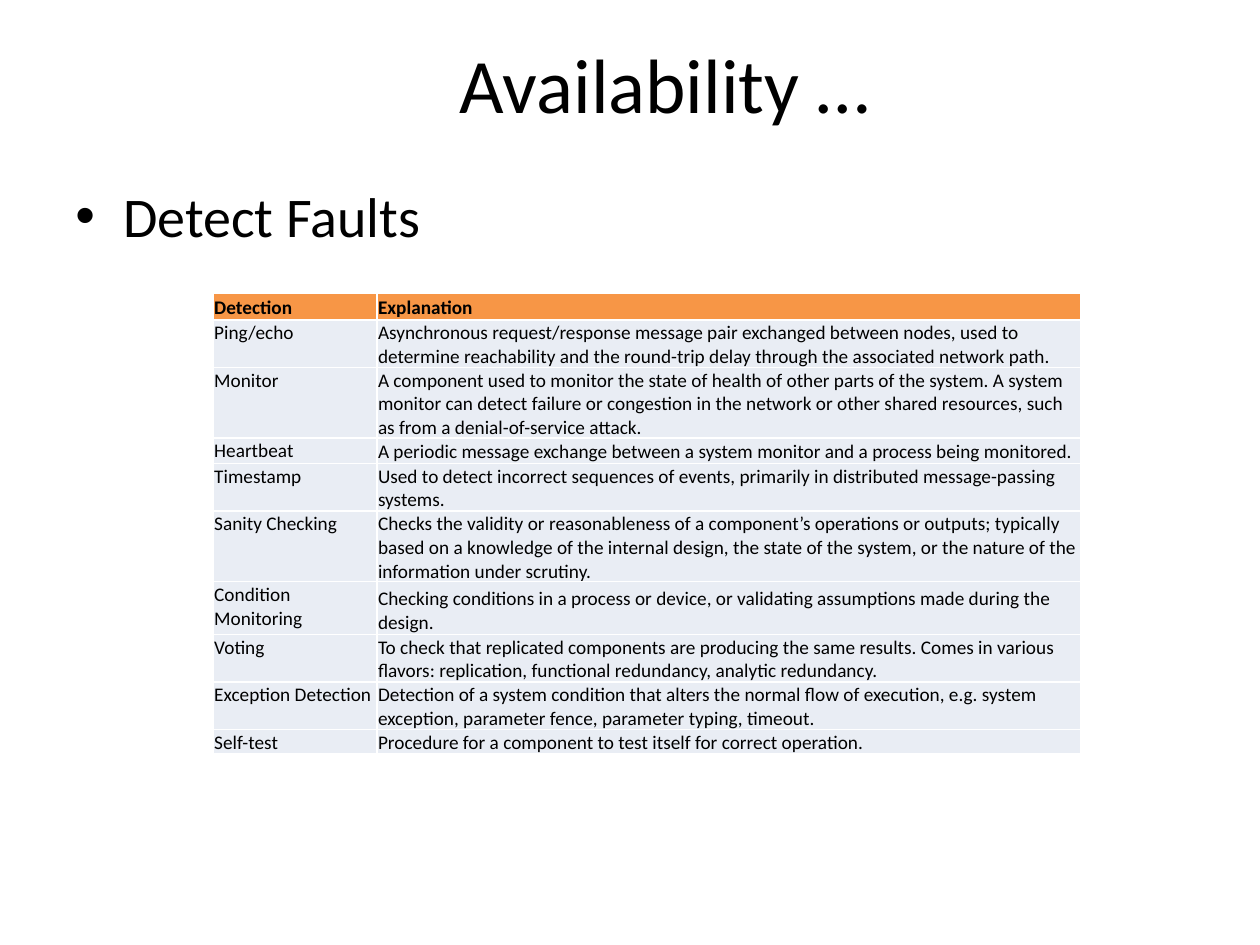
from dataclasses import dataclass
from typing import Any, NamedTuple

from lxml.etree import SubElement
from pptx import Presentation
from pptx.dml.color import RGBColor
from pptx.enum.text import MSO_ANCHOR, PP_ALIGN
from pptx.oxml.ns import qn
from pptx.util import Inches, Pt


@dataclass(frozen=True)
class Theme:
    font: str = "Calibri"
    text: str = "000000"
    header_fill: str = "F79646"
    body_fill: str = "E9EDF4"
    border: str = "FFFFFF"
    title_size: int = 44
    bullet_size: int = 32
    table_size: int = 11
    border_width: int = 1


class Box(NamedTuple):
    left: float
    top: float
    width: float
    height: float

    def lengths(self) -> list[int]:
        return [Inches(value) for value in self]


class Tactic(NamedTuple):
    name: str
    explanation: str
    height: float


THEME = Theme()
TITLE_BOX = Box(1.06, 0.3, 8.44, 0.85)
BODY_BOX = Box(0.5, 1.39, 9, 5.31)
TABLE_BOX = Box(1.69, 2.33, 6.89, 3.16)
COLUMN_WIDTHS = (1.3, 5.59)
CELL_FORMAT = {
    "margin_left": Inches(0.01),
    "margin_top": Inches(0.01),
    "margin_right": Inches(0.01),
    "margin_bottom": Inches(0),
}
ROWS = [
    Tactic("Detection", "Explanation", 0.21),
    Tactic("Ping/echo", "Asynchronous request/response message pair exchanged between "
           "nodes, used to determine reachability and the round-trip delay through the "
           "associated network path.", 0.34),
    Tactic("Monitor", "A component used to monitor the state of health of other parts of "
           "the system. A system monitor can detect failure or congestion in the network "
           "or other shared resources, such as from a denial-of-service attack.", 0.44),
    Tactic("Heartbeat", "A periodic message exchange between a system monitor and a "
           "process being monitored.", 0.2),
    Tactic("Timestamp", "Used to detect incorrect sequences of events, primarily in "
           "distributed message-passing systems.", 0.31),
    Tactic("Sanity Checking", "Checks the validity or reasonableness of a component’s "
           "operations or outputs; typically based on a knowledge of the internal design, "
           "the state of the system, or the nature of the information under scrutiny.", 0.41),
    Tactic("Condition Monitoring", "Checking conditions in a process or device, or "
           "validating assumptions made during the design.", 0.42),
    Tactic("Voting", "To check that replicated components are producing the same results. "
           "Comes in various flavors: replication, functional redundancy, analytic "
           "redundancy.", 0.31),
    Tactic("Exception Detection", "Detection of a system condition that alters the normal "
           "flow of execution, e.g. system exception, parameter fence, parameter typing, "
           "timeout.", 0.33),
    Tactic("Self-test", "Procedure for a component to test itself for correct operation.",
           0.19),
]


def apply_format(target: Any, values: dict[str, Any]) -> None:
    for name, value in values.items():
        setattr(target, name, value)


def set_font(paragraph: Any, size: int, bold: bool = False) -> None:
    for run in paragraph.runs:
        apply_format(run.font, {"name": THEME.font, "size": Pt(size), "bold": bold})
        run.font.color.rgb = RGBColor.from_string(THEME.text)


def add_text(slide: Any, box: Box, text: str, size: int, anchor: MSO_ANCHOR) -> Any:
    """Add a one-paragraph text box and return its paragraph."""
    frame = slide.shapes.add_textbox(*box.lengths()).text_frame
    apply_format(frame, {"word_wrap": True, "vertical_anchor": anchor})
    paragraph = frame.paragraphs[0]
    paragraph.text = text
    set_font(paragraph, size)
    return paragraph


def add_bullet(paragraph: Any, indent: float) -> None:
    properties = paragraph._p.get_or_add_pPr()
    properties.set("marL", str(Inches(indent)))
    properties.set("indent", str(-Inches(indent)))
    SubElement(properties, qn("a:buFont"), typeface="Arial")
    SubElement(properties, qn("a:buChar"), char="•")


def add_borders(cell: Any) -> None:
    properties = cell._tc.get_or_add_tcPr()
    for side in ("lnL", "lnR", "lnT", "lnB"):
        line = SubElement(properties, qn(f"a:{side}"), w=str(Pt(THEME.border_width)))
        fill = SubElement(line, qn("a:solidFill"))
        SubElement(fill, qn("a:srgbClr"), val=THEME.border)


def fill_cell(cell: Any, text: str, header: bool, anchor: MSO_ANCHOR) -> None:
    cell.text = text
    apply_format(cell, CELL_FORMAT | {"vertical_anchor": anchor})
    set_font(cell.text_frame.paragraphs[0], THEME.table_size, header)
    add_borders(cell)
    cell.fill.solid()
    color = THEME.header_fill if header else THEME.body_fill
    cell.fill.fore_color.rgb = RGBColor.from_string(color)


def add_tactics_table(slide: Any) -> None:
    table = slide.shapes.add_table(
        len(ROWS), len(COLUMN_WIDTHS), *TABLE_BOX.lengths()).table
    table.horz_banding = False
    for column, width in zip(table.columns, COLUMN_WIDTHS):
        column.width = Inches(width)
    for index, (row, tactic) in enumerate(zip(table.rows, ROWS)):
        row.height = Inches(tactic.height)
        header = index == 0
        name_anchor = MSO_ANCHOR.BOTTOM if header else MSO_ANCHOR.TOP
        fill_cell(row.cells[0], tactic.name, header, name_anchor)
        fill_cell(row.cells[1], tactic.explanation, header, MSO_ANCHOR.BOTTOM)


def main() -> None:
    presentation = Presentation()
    apply_format(presentation, {"slide_width": Inches(10), "slide_height": Inches(7.5)})
    slide = presentation.slides.add_slide(presentation.slide_layouts[6])

    title = add_text(slide, TITLE_BOX, "Availability …", THEME.title_size, MSO_ANCHOR.MIDDLE)
    apply_format(title, {"alignment": PP_ALIGN.CENTER, "line_spacing": 0.8})
    bullet = add_text(slide, BODY_BOX, "Detect Faults", THEME.bullet_size, MSO_ANCHOR.TOP)
    add_bullet(bullet, 0.38)
    add_tactics_table(slide)

    presentation.save("out.pptx")


if __name__ == "__main__":
    main()
